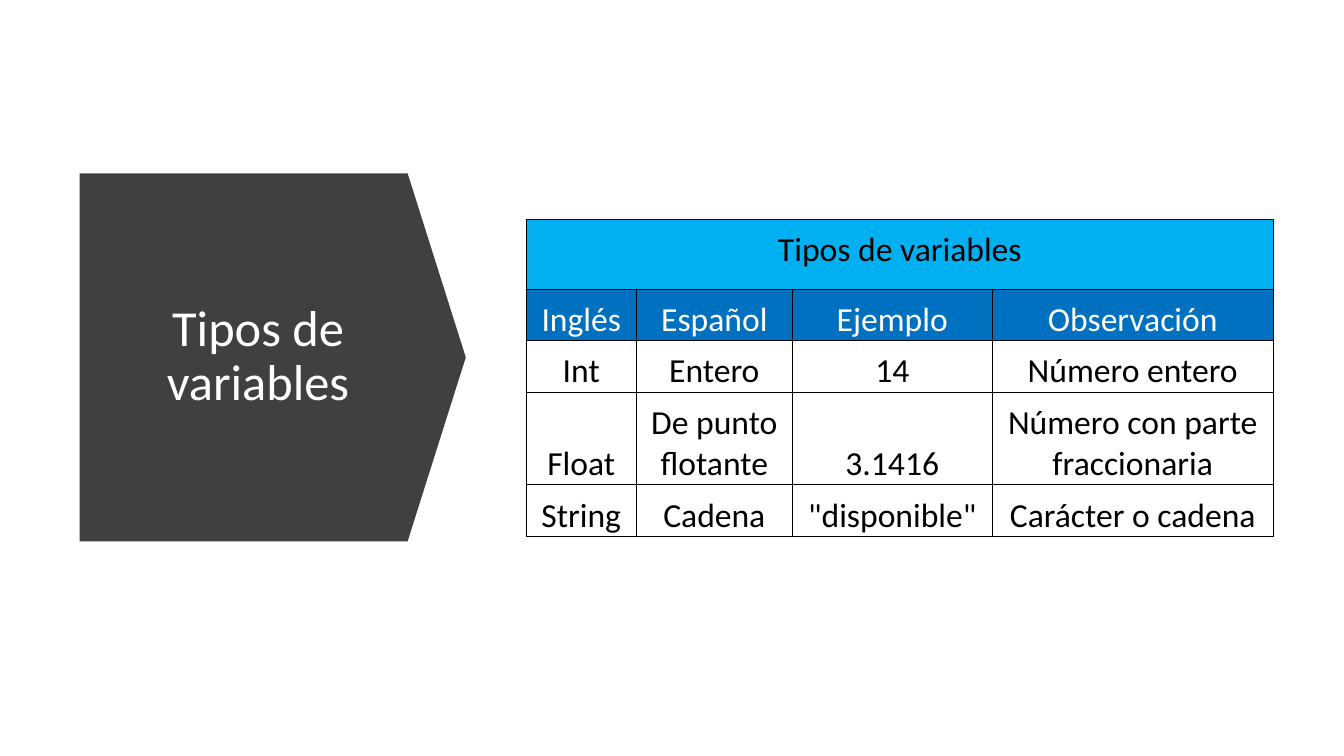
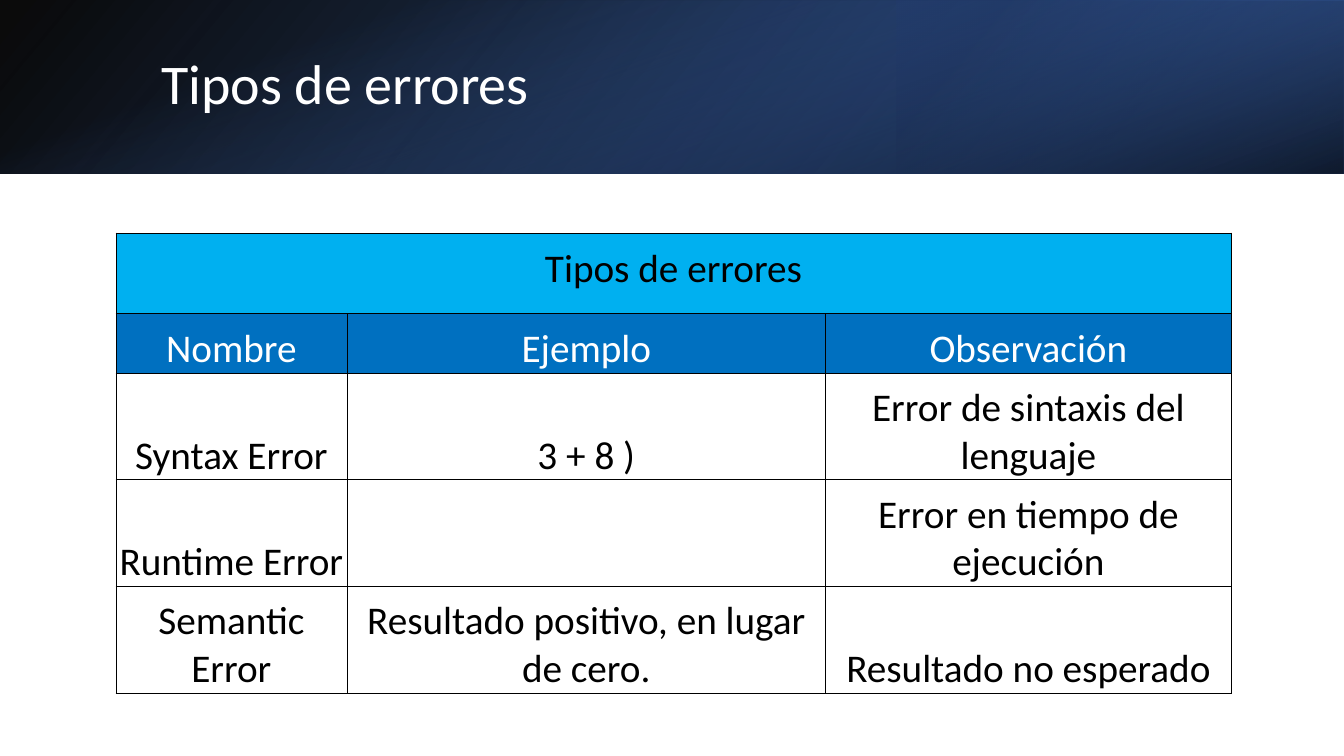
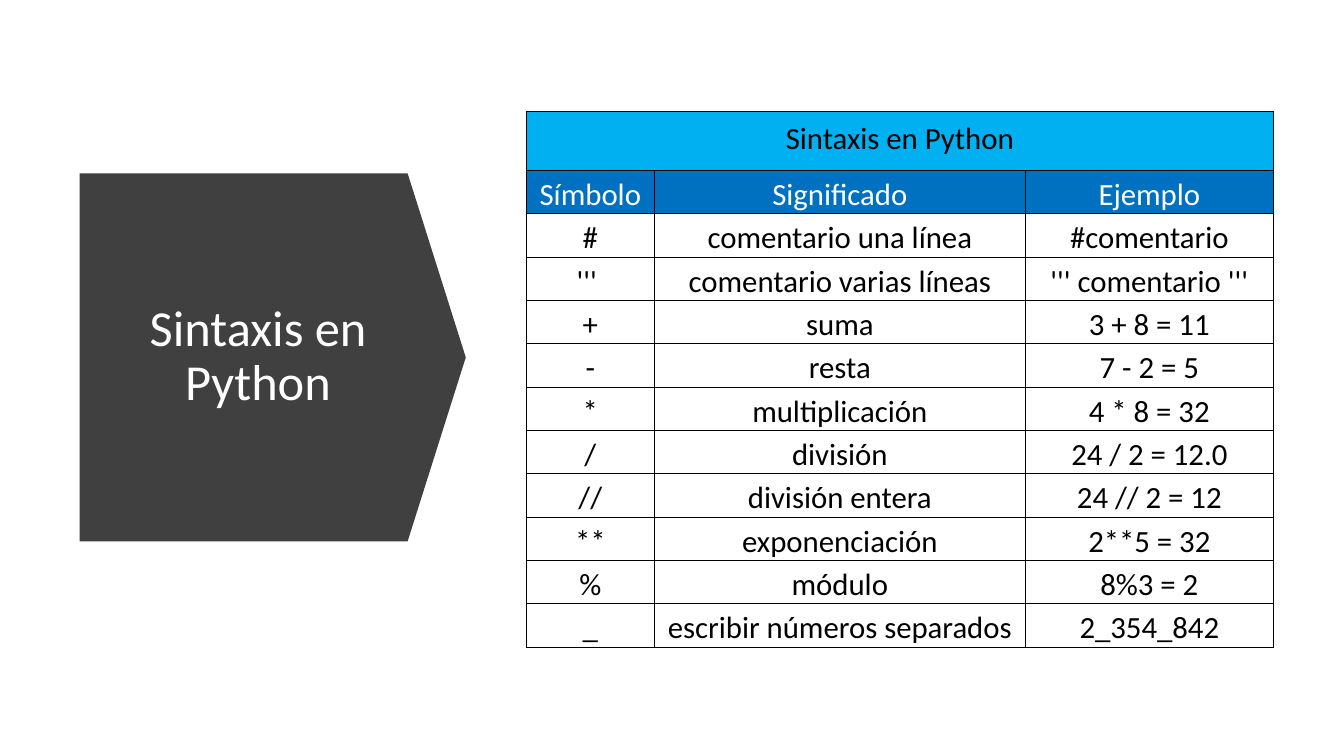
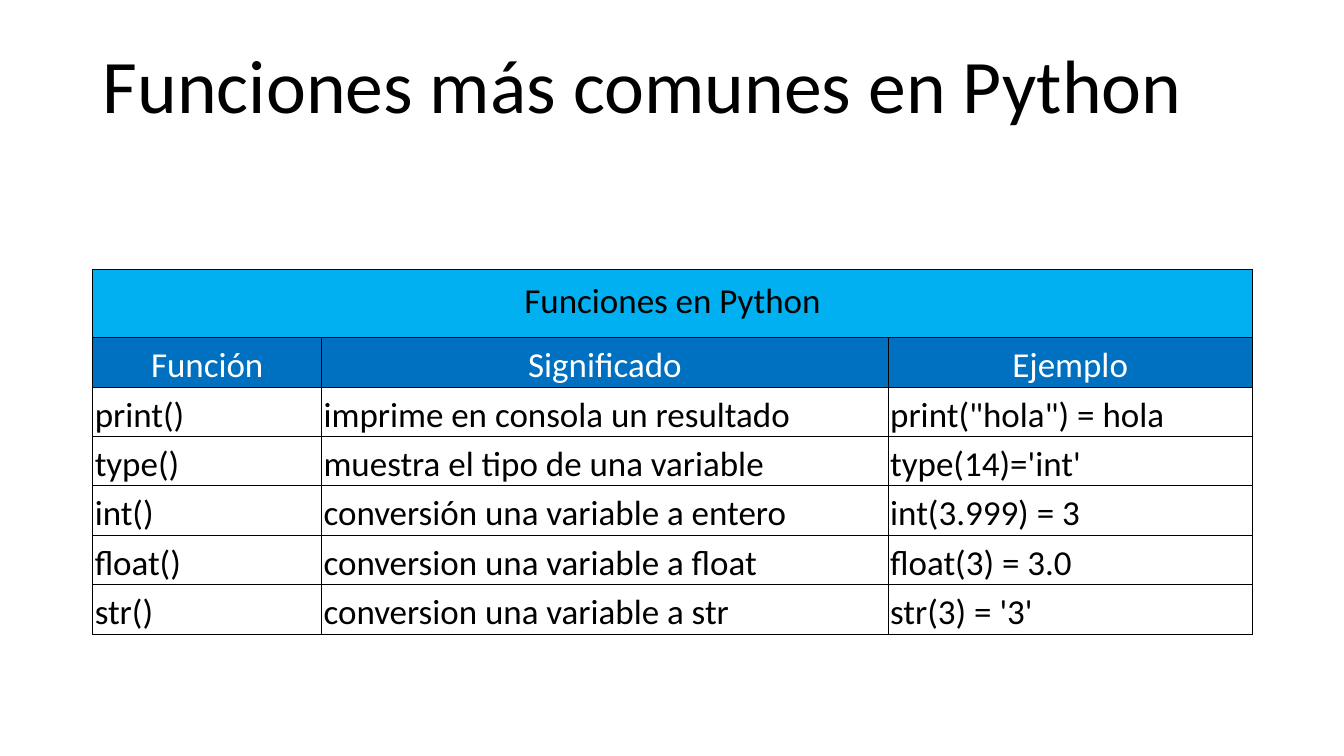
from lxml import etree
from pptx import Presentation
from pptx.dml.color import RGBColor
from pptx.enum.shapes import MSO_SHAPE
from pptx.enum.text import MSO_ANCHOR, MSO_AUTO_SIZE, PP_ALIGN
from pptx.oxml.ns import qn
from pptx.util import Inches, Pt

LEFT, CENTER = PP_ALIGN.LEFT, PP_ALIGN.CENTER
TOP, MIDDLE, BOTTOM = MSO_ANCHOR.TOP, MSO_ANCHOR.MIDDLE, MSO_ANCHOR.BOTTOM
RECT, DOWN_ARROW = MSO_SHAPE.RECTANGLE, MSO_SHAPE.DOWN_ARROW
NO_AUTOFIT = MSO_AUTO_SIZE.NONE

FONT = "Calibri"
BLACK = RGBColor(0x00, 0x00, 0x00)
WHITE = RGBColor(0xFF, 0xFF, 0xFF)
CHARCOAL = RGBColor(0x40, 0x40, 0x40)
SKY = RGBColor(0x00, 0xB0, 0xF0)
BLUE = RGBColor(0x00, 0x70, 0xC0)
ACCENT = RGBColor(0x44, 0x72, 0xC4)
DEEP_BLUE = RGBColor(0x2F, 0x55, 0x97)
NAVY = RGBColor(0x20, 0x38, 0x64)

SLIDE_W, SLIDE_H, BAND_H = 13.33, 7.5, 1.72

BAND_LAYERS = [
    dict(box=(0, 0, SLIDE_W, BAND_H), rotation=0, flip=True, angle=140,
         stops=[(0, BLACK, 96), (100, DEEP_BLUE, 100)]),
    dict(box=(8.89, 0, 4.44, BAND_H), rotation=180, flip=True, angle=320,
         stops=[(19, NAVY, 68), (100, ACCENT, 79)]),
    dict(box=(5.8, -5.8, BAND_H, SLIDE_W), rotation=90, flip=False, angle=340,
         stops=[(23, ACCENT, 0), (99, BLACK, 74)]),
]

TITLE_STYLES = {
    "arrow": dict(box=(1.12, 2.15, 2.88, 2.79), size=36, color=WHITE, align=CENTER, anchor=MIDDLE),
    "band": dict(box=(1.5, 0.38, 10.98, 0.96), size=40, color=WHITE, align=LEFT, anchor=MIDDLE),
    "plain": dict(box=(0.92, 0.32, 11.5, 1.02), size=54, color=BLACK, align=LEFT, anchor=BOTTOM),
}

SLIDES = [
    dict(
        title="Tipos de variables", style="arrow", caption="Tipos de variables",
        origin=(5.22, 2.18), cols=[1.09, 1.55, 1.98, 2.79],
        heights=[0.69, 0.51, 0.51, 0.92, 0.51], size=24, pad=0.1, align=CENTER,
        rows=[
            ("Inglés", "Español", "Ejemplo", "Observación"),
            ("Int", "Entero", "14", "Número entero"),
            ("Float", "De punto flotante", "3.1416", "Número con parte fraccionaria"),
            ("String", "Cadena", '"disponible"', "Carácter o cadena"),
        ]),
    dict(
        title="Tipos de errores", style="band", caption="Tipos de errores",
        origin=(1.15, 2.31), cols=[2.29, 4.75, 4.02],
        heights=[0.8, 0.59] + [1.06] * 3, size=28, pad=0.12, align=CENTER,
        rows=[
            ("Nombre", "Ejemplo", "Observación"),
            ("Syntax Error", "3 + 8 )", "Error de sintaxis del lenguaje"),
            ("Runtime Error", "", "Error en tiempo de ejecución"),
            ("Semantic Error", "Resultado positivo, en lugar de cero.", "Resultado no esperado"),
        ]),
    dict(
        title="Sintaxis en Python", style="arrow", caption="Sintaxis en Python",
        origin=(5.22, 1.1), cols=[1.27, 3.68, 2.46],
        heights=[0.59] + [0.43] * 11, size=22, pad=0.09, align=CENTER,
        rows=[
            ("Símbolo", "Significado", "Ejemplo"),
            ("#", "comentario una línea", "#comentario"),
            ("''' ", "comentario varias líneas", "''' comentario '''"),
            ("+", "suma", "3 + 8 = 11"),
            ("-", "resta", "7 - 2 = 5"),
            ("*", "multiplicación", "4 * 8 = 32"),
            ("/", "división", "24 / 2 = 12.0"),
            ("//", "división entera", "24 // 2 = 12"),
            ("**", "exponenciación", "2**5 = 32"),
            ("%", "módulo", "8%3 = 2"),
            ("_", "escribir números separados", "2_354_842"),
        ]),
    dict(
        title="Funciones más comunes en Python", style="plain", caption="Funciones en Python",
        origin=(0.92, 2.67), cols=[2.27, 5.62, 3.61],
        heights=[0.68] + [0.49] * 6, size=25, pad=0.11, align=LEFT,
        rows=[
            ("Función", "Significado", "Ejemplo"),
            ("print()", "imprime en consola un resultado", 'print("hola") = hola'),
            ("type()", "muestra el tipo de una variable", "type(14)='int'"),
            ("int()", "conversión una variable a entero", "int(3.999) = 3"),
            ("float()", "conversion una variable a float", "float(3) = 3.0"),
            ("str()", "conversion una variable a str", "str(3) = '3'"),
        ]),
]


def inches(values):
    return [Inches(v) for v in values]


def write(tf, text, size, color, align):
    p = tf.paragraphs[0]
    p.alignment = align
    if text:
        r = p.add_run()
        r.text = text
        r.font.name, r.font.size, r.font.color.rgb = FONT, Pt(size), color
    return p


def add_title(s, text, box, size, color, align, anchor):
    title = s.shapes.title
    title.left, title.top, title.width, title.height = inches(box)
    tf = title.text_frame
    for name, value in dict(word_wrap=True, auto_size=NO_AUTOFIT, vertical_anchor=anchor).items():
        setattr(tf, name, value)
    write(tf, text, size, color, align).line_spacing = 0.9


def add_backdrop(s, kind, box, rotation):
    sp = s.shapes.add_shape(kind, *inches(box))
    sp.rotation = rotation
    sp.shadow.inherit = False
    sp.line.fill.background()
    s.shapes.title.element.addprevious(sp.element)
    return sp


def add_arrow(s):
    sp = add_backdrop(s, DOWN_ARROW, (0.88, 1.63, 3.65, 3.83), 270)
    sp.adjustments[0], sp.adjustments[1] = 1, 0.158
    sp.fill.solid()
    sp.fill.fore_color.rgb = CHARCOAL


def add_band(s):
    for layer in BAND_LAYERS:
        sp = add_backdrop(s, RECT, layer["box"], layer["rotation"])
        if layer["flip"]:
            sp.element.spPr.find(qn("a:xfrm")).set("flipH", "1")
        sp.fill.gradient()
        sp.fill.gradient_angle = 360 - layer["angle"]
        stops = sp.fill.gradient_stops
        for stop, (position, color, opacity) in zip(stops, layer["stops"]):
            stop.position = position / 100
            stop.color.rgb = color
        colors = sp.element.spPr.find(qn("a:gradFill")).iter(qn("a:srgbClr"))
        for clr, (position, color, opacity) in zip(colors, layer["stops"]):
            etree.SubElement(clr, qn("a:alpha")).set("val", str(opacity * 1000))


def add_borders(cell):
    tcPr = cell._tc.get_or_add_tcPr()
    for side in ("lnL", "lnR", "lnT", "lnB"):
        ln = etree.SubElement(tcPr, qn(f"a:{side}"), w=str(Pt(0.5)))
        fill = etree.SubElement(ln, qn("a:solidFill"))
        etree.SubElement(fill, qn("a:srgbClr"), val=str(BLACK))


def format_cell(cell, fill, anchor, margins):
    add_borders(cell)
    if fill is None:
        cell.fill.background()
    else:
        cell.fill.solid()
        cell.fill.fore_color.rgb = fill
    cell.vertical_anchor = anchor
    for side, value in zip(("left", "top", "right", "bottom"), margins):
        setattr(cell, f"margin_{side}", Inches(value))


def add_grid(s, caption, origin, cols, heights, size, pad, align, rows):
    box = (*origin, sum(cols), sum(heights))
    table = s.shapes.add_table(len(heights), len(cols), *inches(box)).table
    table.first_row = table.horz_banding = False
    for column, width in zip(table.columns, cols):
        column.width = Inches(width)
    for row, height in zip(table.rows, heights):
        row.height = Inches(height)

    for i in range(len(cols)):
        format_cell(table.cell(0, i), SKY, TOP, (2 * pad, pad, 2 * pad, pad))
    table.cell(0, 0).merge(table.cell(0, len(cols) - 1))
    write(table.cell(0, 0).text_frame, caption, size, BLACK, CENTER)

    for j, texts in enumerate(rows, 1):
        fill, color, side = (BLUE, WHITE, CENTER) if j == 1 else (None, BLACK, align)
        for i, text in enumerate(texts):
            cell = table.cell(j, i)
            format_cell(cell, fill, BOTTOM, (0.02, 0.02, 0.02, 0))
            write(cell.text_frame, text, size, color, side)


def main():
    prs = Presentation()
    prs.slide_width, prs.slide_height = Inches(SLIDE_W), Inches(SLIDE_H)
    title_only = prs.slide_layouts[5]
    backdrops = {"arrow": add_arrow, "band": add_band}
    for content in SLIDES:
        s = prs.slides.add_slide(title_only)
        grid = dict(content)
        title, style = grid.pop("title"), grid.pop("style")
        add_title(s, title, **TITLE_STYLES[style])
        if style in backdrops:
            backdrops[style](s)
        add_grid(s, **grid)
    prs.save("out.pptx")


if __name__ == "__main__":
    main()
